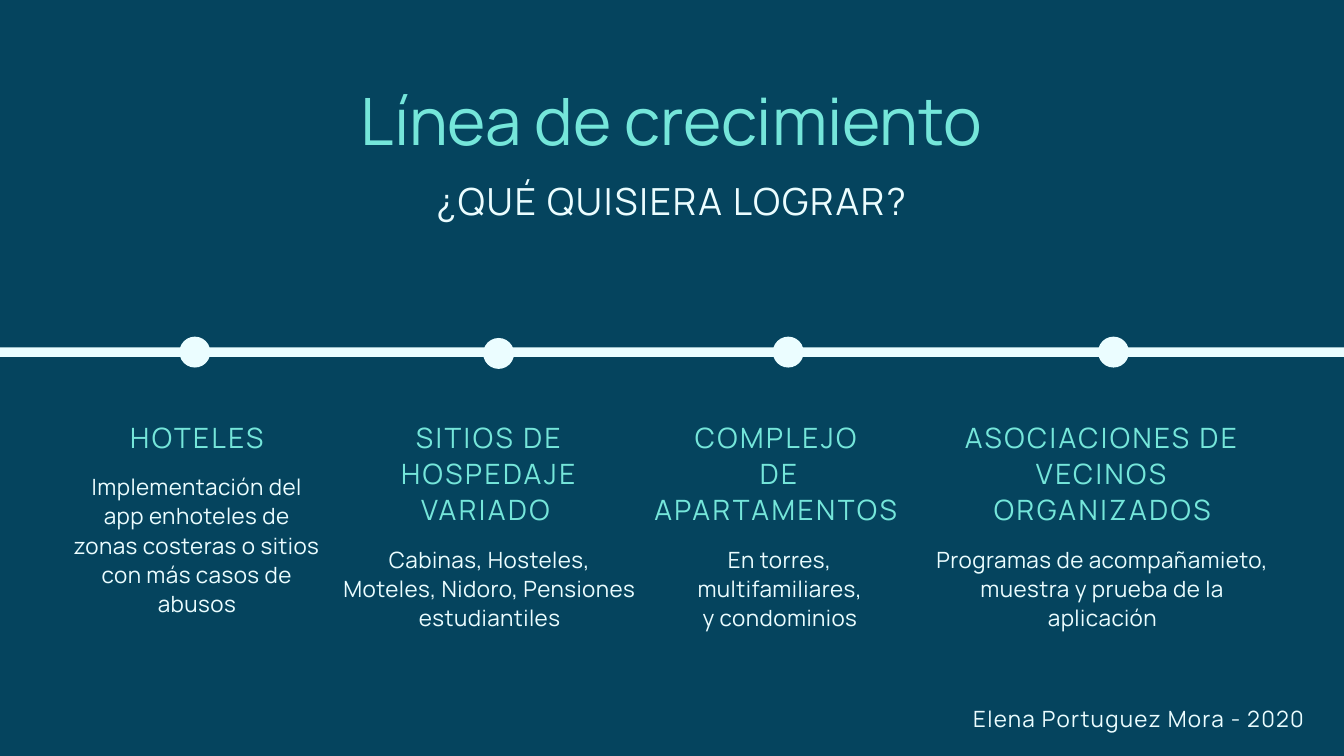
from pptx import Presentation
from pptx.dml.color import RGBColor
from pptx.enum.shapes import MSO_SHAPE as SHAPE
from pptx.enum.text import MSO_ANCHOR as ANCHOR, MSO_AUTO_SIZE as AUTOSIZE, PP_ALIGN as ALIGN
from pptx.util import Inches, Pt

FONT = "Manrope"
COLORS = {"navy": "05445E", "aqua": "75E6DA", "ice": "EBFDFF"}

# Text styles: size, line spacing, letter spacing (points) and colour
STYLES = {
    "title": (70, 84, 0, "aqua"),
    "subtitle": (40, 48, 2, "ice"),
    "heading": (30, 39, 2.7, "aqua"),
    "body": (24, 31.2, 0.5, "ice"),
    "credit": (24, 33.6, 1.4, "ice"),
}

# Stages: left, width, heading lines, heading paragraphs, body paragraphs
STAGES = [
    (1.06, 3.74, 1, ["HOTELES"],
     ["Implementación del app enhoteles de zonas costeras o sitios con más casos de abusos"]),
    (5.09, 4.39, 3, ["SITIOS DE HOSPEDAJE VARIADO "],
     ["Cabinas, Hosteles, Moteles, Nidoro, Pensiones estudiantiles"]),
    (9.65, 3.91, 3, ["COMPLEJO ", "DE APARTAMENTOS "],
     ["En torres, multifamiliares,", "y condominios"]),
    (13.92, 4.97, 3, ["ASOCIACIONES DE VECINOS ORGANIZADOS"],
     ["Programas de acompañamieto, muestra y prueba de la aplicación"]),
]
# Left and top of each stage's dot on the line
DOTS = [(2.67, 5.01), (7.19, 5.03), (11.5, 5.01), (16.34, 5.01)]
DOT_SIZE = 0.46


def rgb(name):
    return RGBColor.from_string(COLORS[name])


def write(sp, paragraphs, style, align=ALIGN.CENTER):
    size, leading, tracking, color = STYLES[style]
    tf = sp.text_frame
    tf.word_wrap = True
    tf.auto_size = AUTOSIZE.NONE
    tf.vertical_anchor = ANCHOR.TOP
    tf.margin_left = tf.margin_right = tf.margin_top = tf.margin_bottom = 0
    for i, text in enumerate(paragraphs):
        p = tf.add_paragraph() if i else tf.paragraphs[0]
        p.alignment = align
        p.line_spacing = Pt(leading)
        p.space_before = p.space_after = Pt(0)
        r = p.add_run()
        r.text = text
        r.font.name = FONT
        r.font.size = Pt(size)
        r.font.color.rgb = rgb(color)
        if tracking:
            r._r.get_or_add_rPr().set("spc", str(round(tracking * 100)))


def add_text(s, box, paragraphs, style, align=ALIGN.CENTER):
    sp = s.shapes.add_textbox(*map(Inches, box))
    write(sp, paragraphs, style, align)


def add_solid(s, kind, box):
    sp = s.shapes.add_shape(kind, *map(Inches, box))
    sp.shadow.inherit = False
    sp.fill.solid()
    sp.fill.fore_color.rgb = rgb("ice")
    sp.line.fill.background()


def add_header(s, left, top, width):
    title = s.shapes.title
    title.left, title.top = Inches(left), Inches(top)
    title.width, title.height = Inches(width), Inches(1.18)
    write(title, ["Línea\u00a0de crecimiento"], "title")
    add_text(s, (left, top + 1.45, width, 0.67), ["¿QUÉ QUISIERA LOGRAR?"], "subtitle")


def add_timeline(s, left, top, width):
    add_solid(s, SHAPE.RECTANGLE, (left, top, width, 0.14))
    for x, y in DOTS:
        add_solid(s, SHAPE.OVAL, (x, y, DOT_SIZE, DOT_SIZE))


def add_stage(s, left, top, width, lines, heading, body):
    # The body starts below however many lines the heading takes
    heading_height = lines * STYLES["heading"][1] / 72
    body_top = top + heading_height + 0.26
    add_text(s, (left, top, width, heading_height), heading, "heading")
    add_text(s, (left, body_top, width, 9.27 - body_top), body, "body")


def main():
    prs = Presentation()
    prs.slide_width, prs.slide_height = Inches(20), Inches(11.25)
    s = prs.slides.add_slide(prs.slide_layouts[5])
    s.background.fill.solid()
    s.background.fill.fore_color.rgb = rgb("navy")

    # Title and question
    add_header(s, 3.66, 1.2, 12.67)

    # Line with dots, bleeding off both edges
    add_timeline(s, -0.22, 5.17, 20.47)

    # Growth stages
    for left, width, lines, heading, body in STAGES:
        add_stage(s, left, 6.21, width, lines, heading, body)

    # Credit
    add_text(s, (12.12, 10.43, 7.29, 0.45), ["Elena Portuguez Mora - 2020"], "credit", ALIGN.RIGHT)

    prs.save("out.pptx")


if __name__ == "__main__":
    main()
